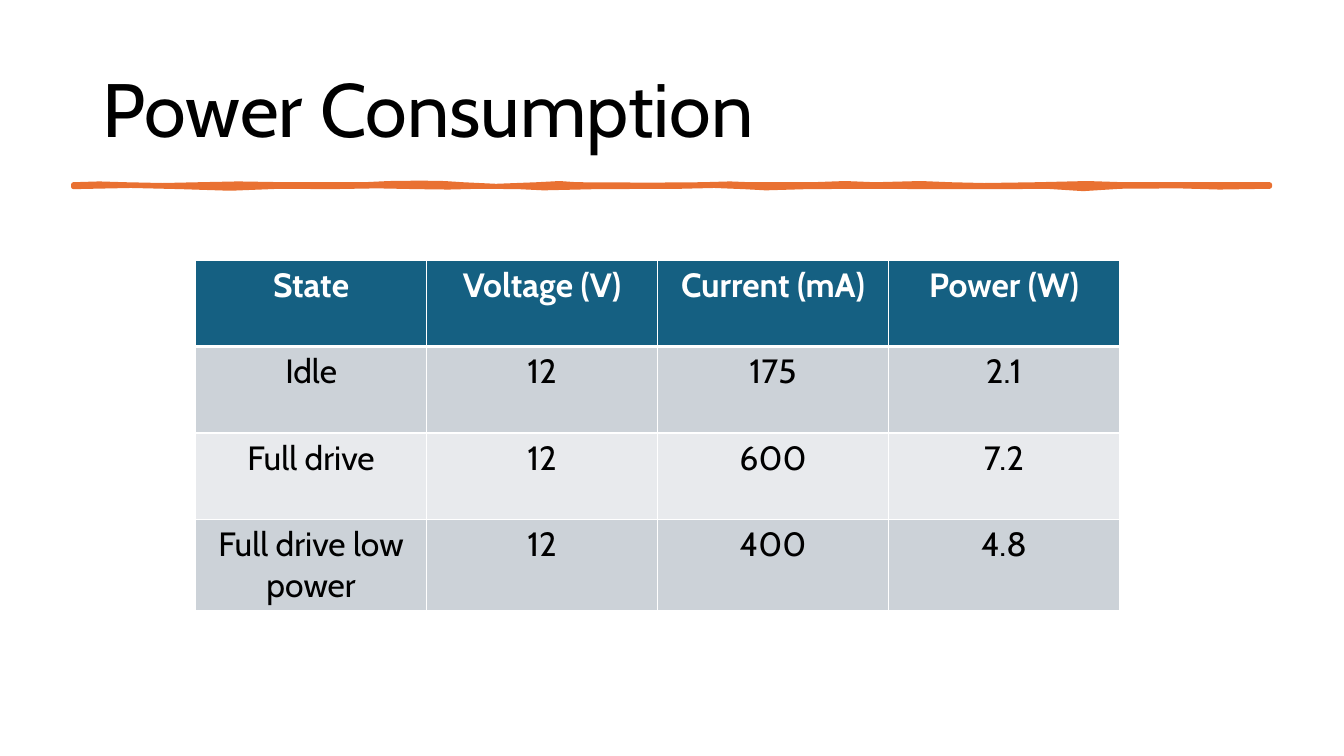
"""Build the power consumption slide."""
from dataclasses import dataclass

from lxml import etree
from pptx import Presentation
from pptx import util as u
from pptx.dml.color import RGBColor
from pptx.enum import text
from pptx.oxml import ns

BLACK = RGBColor(0x00, 0x00, 0x00)
WHITE = RGBColor(0xFF, 0xFF, 0xFF)
ORANGE = RGBColor(0xE9, 0x71, 0x32)
TEAL = RGBColor(0x15, 0x60, 0x82)
GREY = RGBColor(0xCC, 0xD2, 0xD8)
PALE = RGBColor(0xE8, 0xEA, 0xED)

TOP = (
    (1.85, 4.65), (2.5, 4.63), (3.15, 4.65), (4.1, 4.67), (5.03, 4.65),
    (6, 4.63), (7.21, 4.65), (9.17, 4.65), (9.8, 4.62), (10.6, 4.61),
    (11.2, 4.62), (11.66, 4.65), (12.5, 4.69), (13.54, 4.65), (14.1, 4.62),
    (14.53, 4.65), (16.4, 4.66), (17.7, 4.65), (18.4, 4.63), (18.9, 4.65),
    (20.47, 4.65), (21.3, 4.62), (22.05, 4.65), (23.2, 4.62), (23.95, 4.65),
    (24.8, 4.67), (26.14, 4.65), (27.4, 4.62), (28.32, 4.65), (32, 4.65),
)
BASE = (
    (32, 4.7), (30.73, 4.72), (29.7, 4.69), (28.24, 4.7), (27.3, 4.76),
    (26.37, 4.7), (25.37, 4.71), (23.5, 4.71), (21.92, 4.7), (20.32, 4.71),
    (19.3, 4.74), (18.75, 4.71), (18, 4.68), (17.17, 4.7), (15, 4.71),
    (13.7, 4.74), (13.08, 4.71), (12.1, 4.7), (11.3, 4.72), (10.52, 4.71),
    (9.5, 4.69), (8.33, 4.71), (7.06, 4.7), (5.8, 4.75), (4.57, 4.71),
    (3.3, 4.68), (1.85, 4.71),
)


@dataclass
class Row:
    """Hold one table row and its look."""
    words: tuple[str, ...]
    fill: RGBColor
    ink: RGBColor = BLACK
    bold: bool = False
    rule: float = 1


ROWS = (
    Row(("State", "Voltage (V)", "Current (mA)", "Power (W)"),
        TEAL, WHITE, True, 3),
    Row(("Idle", "12", "175", "2.1"), GREY),
    Row(("Full drive", "12", "600", "7.2"), PALE),
    Row(("Full drive low power", "12", "400", "4.8"), GREY),
)


def write(para, words: str, ink: RGBColor, size: int, bold: bool) -> None:
    """Add one formatted run to a paragraph."""
    run = para.add_run()
    run.text = words
    form = {"name": "Cabin", "size": u.Pt(size), "bold": bold}
    for key, val in form.items():
        setattr(run.font, key, val)
    run.font.color.rgb = ink


def add_title(slide) -> None:
    """Add the slide title."""
    box = slide.shapes.add_textbox(
        u.Cm(2.33), u.Cm(1.01), u.Cm(29.21), u.Cm(3.68))
    form = {"word_wrap": True, "vertical_anchor": text.MSO_ANCHOR.MIDDLE}
    for key, val in form.items():
        setattr(box.text_frame, key, val)
    para = box.text_frame.paragraphs[0]
    para.line_spacing = 0.9
    write(para, "Power Consumption", BLACK, 54, False)


def add_stroke(slide) -> None:
    """Add the hand-drawn rule below the title."""
    first, *rest = [(u.Cm(x), u.Cm(y)) for x, y in TOP + BASE]
    pen = slide.shapes.build_freeform(*first)
    pen.add_line_segments(rest, close=True)
    stroke = pen.convert_to_shape()
    stroke.shadow.inherit = False
    for fill in (stroke.fill, stroke.line.fill):
        fill.solid()
        fill.fore_color.rgb = ORANGE
    stroke.line.width = u.Pt(3.25)


def add_edge(cell, side: str, width: float) -> None:
    """Draw one white border of a cell."""
    edge = etree.SubElement(
        cell._tc.get_or_add_tcPr(), ns.qn(f"a:{side}"), w=str(u.Pt(width)))
    fill = etree.SubElement(edge, ns.qn("a:solidFill"))
    etree.SubElement(fill, ns.qn("a:srgbClr"), val=str(WHITE))


def add_grid(slide) -> None:
    """Add the table of readings."""
    wide, high = u.Cm(5.82), u.Cm(2.18)
    count = len(ROWS[0].words)
    grid = slide.shapes.add_table(
        len(ROWS), count, u.Cm(4.93), u.Cm(6.55),
        wide * count, high * len(ROWS)).table
    above = 1
    for i, row in enumerate(ROWS):
        for j, words in enumerate(row.words):
            cell = grid.cell(i, j)
            para = cell.text_frame.paragraphs[0]
            para.alignment = text.PP_ALIGN.CENTER
            write(para, words, row.ink, 24, row.bold)
            edges = {"lnL": 1, "lnR": 1, "lnT": above, "lnB": row.rule}
            for side, width in edges.items():
                add_edge(cell, side, width)
            cell.fill.solid()
            cell.fill.fore_color.rgb = row.fill
        above = row.rule


def main() -> None:
    """Build and save the deck."""
    deck = Presentation()
    size = {"slide_width": u.Cm(33.87), "slide_height": u.Cm(19.05)}
    for key, val in size.items():
        setattr(deck, key, val)
    slide = deck.slides.add_slide(deck.slide_layouts[6])
    add_title(slide)
    add_stroke(slide)
    add_grid(slide)
    deck.save("out.pptx")


if __name__ == "__main__":
    main()
